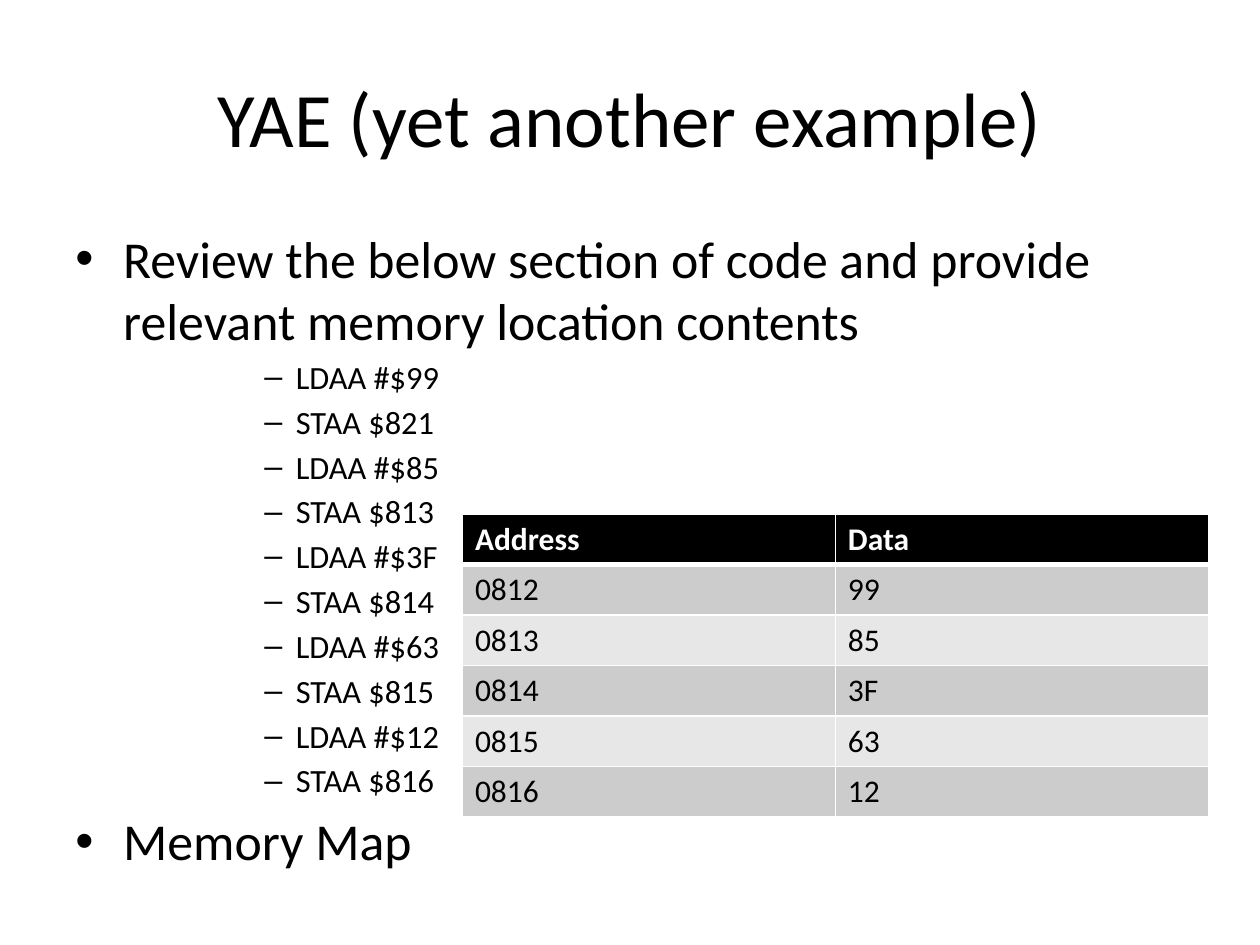
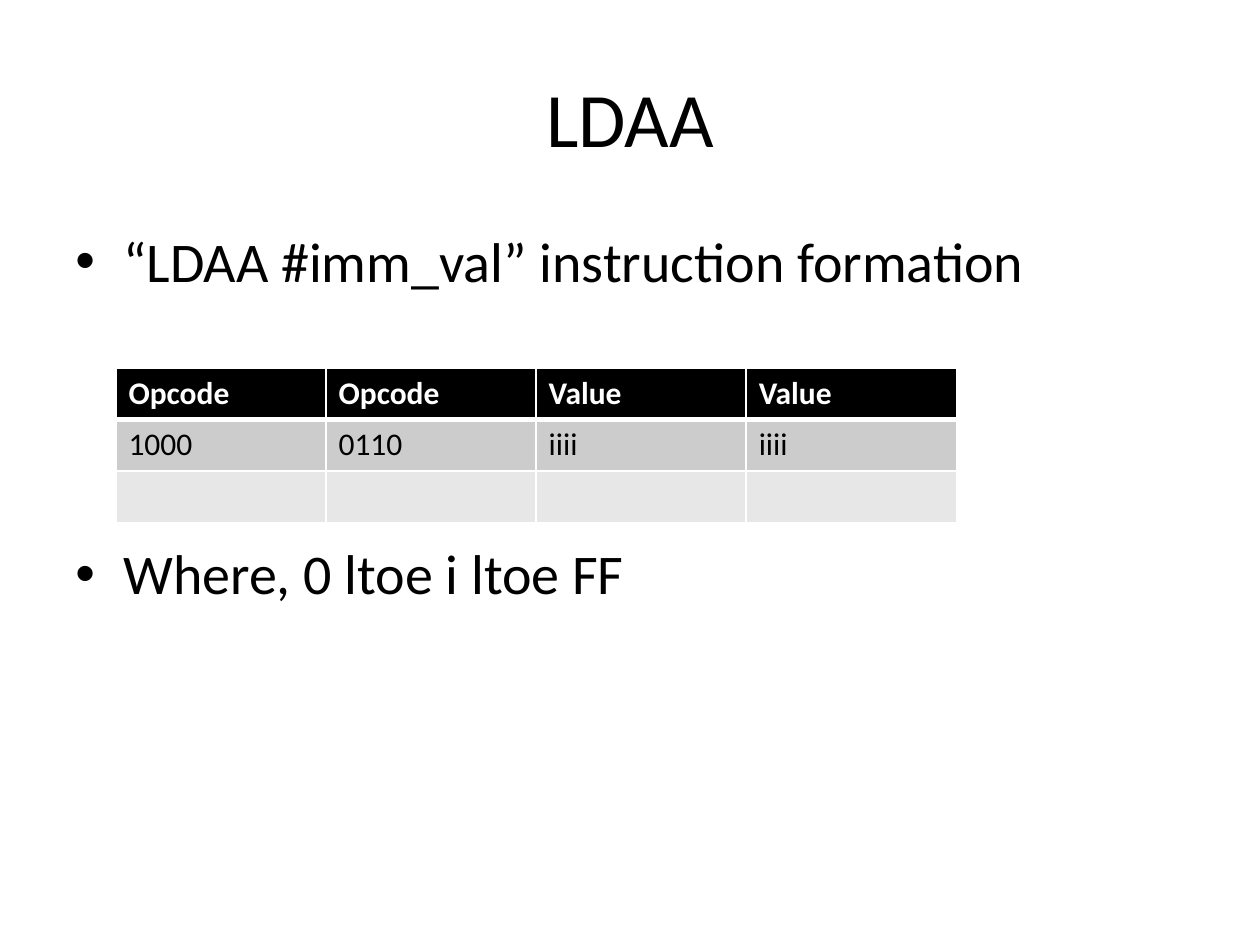
from lxml.etree import SubElement
from pptx import Presentation
from pptx.dml.color import RGBColor
from pptx.enum.text import MSO_ANCHOR, PP_ALIGN
from pptx.oxml import parse_xml
from pptx.oxml.ns import nsdecls, qn
from pptx.util import Inches, Pt

FONT = "Calibri"
BLACK, WHITE = "000000", "FFFFFF"
BANDS = ("CCCCCC", "E7E7E7")


def rgb(value):
    """Turn a hex string into a colour."""
    return RGBColor.from_string(value)


class Deck:
    """Holds the presentation, its style and the current slide."""

    def __init__(self):
        """Start an empty 10 by 7.5 inch presentation."""
        self.presentation = Presentation()
        self.presentation.slide_width = Inches(10)
        self.presentation.slide_height = Inches(7.5)
        self.slide = None

    def run(self, paragraph, text, size, color=BLACK, bold=False):
        """Add one styled run to a paragraph."""
        run = paragraph.add_run()
        run.text = text
        run.font.name = FONT
        run.font.size = Pt(size)
        run.font.bold = bold
        run.font.color.rgb = rgb(color)

    def frame(self, top, height):
        """Add a wrapping text box as wide as the content area."""
        box = self.slide.shapes.add_textbox(Inches(0.5), Inches(top), Inches(9), Inches(height))
        box.text_frame.word_wrap = True
        return box.text_frame

    def new_slide(self, title):
        """Add a blank slide with its centred title."""
        self.slide = self.presentation.slides.add_slide(self.presentation.slide_layouts[6])
        background = self.slide.background.fill
        background.solid()
        background.fore_color.rgb = rgb(WHITE)
        frame = self.frame(0.3, 1.25)
        frame.vertical_anchor = MSO_ANCHOR.MIDDLE
        frame.paragraphs[0].alignment = PP_ALIGN.CENTER
        self.run(frame.paragraphs[0], title, 44)

    def bullet(self, paragraph, char, left, hang):
        """Give a paragraph a bullet with a hanging indent."""
        properties = paragraph._p.get_or_add_pPr()
        properties.set("marL", str(Inches(left)))
        properties.set("indent", str(-Inches(hang)))
        SubElement(properties, qn("a:buFont")).set("typeface", "Arial")
        SubElement(properties, qn("a:buChar")).set("char", char)

    def body(self, items):
        """Add the body from (text, level, size, space before) items."""
        levels = (("•", 0.38, 0.38), ("–", 1.75, 0.25))
        frame = self.frame(1.75, 4.95)
        for index, (text, level, size, space) in enumerate(items):
            paragraph = frame.add_paragraph() if index else frame.paragraphs[0]
            self.bullet(paragraph, *levels[level])
            paragraph.space_before = Pt(space)
            self.run(paragraph, text, size)

    def borders(self, cell, top, bottom):
        """Draw white borders, with the given top and bottom widths in points."""
        properties = cell._tc.get_or_add_tcPr()
        for index, (side, width) in enumerate(zip("LRTB", (1, 1, top, bottom))):
            line = parse_xml(
                f'<a:ln{side} {nsdecls("a")} w="{Pt(width)}"><a:solidFill>'
                f'<a:srgbClr val="{WHITE}"/></a:solidFill></a:ln{side}>')
            properties.insert(index, line)

    def table(self, left, top, width, row_height, rows):
        """Add a table with a black header and banded grey rows."""
        grid = self.slide.shapes.add_table(
            len(rows), len(rows[0]), Inches(left), Inches(top),
            Inches(width), Inches(row_height * len(rows))).table
        for row, values in enumerate(rows):
            header = row == 0
            for column, value in enumerate(values):
                cell = grid.cell(row, column)
                cell.fill.solid()
                cell.fill.fore_color.rgb = rgb(BLACK if header else BANDS[(row - 1) % 2])
                self.borders(cell, 3 if row == 1 else 1, 3 if header else 1)
                if value:
                    self.run(cell.text_frame.paragraphs[0], value, 18,
                             WHITE if header else BLACK, header)


def main():
    """Build and save both slides."""
    deck = Deck()

    deck.new_slide("YAE (yet another example)")
    stores = (("99", "821"), ("85", "813"), ("3F", "814"), ("63", "815"), ("12", "816"))
    code = [line for data, address in stores
            for line in (f"LDAA #${data}", f"STAA ${address}")]
    deck.body([
        ("Review the below section of code and provide relevant memory location contents",
         0, 29.6, 0),
        *((line, 1, 18.5, 3.4) for line in code),
        ("Memory Map", 0, 29.6, 5.5)])
    deck.table(3.67, 4.08, 5.92, 0.4, [
        ("Address", "Data"), ("0812", "99"), ("0813", "85"),
        ("0814", "3F"), ("0815", "63"), ("0816", "12")])

    deck.new_slide("LDAA")
    deck.body([
        ("“LDAA #imm_val” instruction formation", 0, 32, 0),
        ("Where, 0 ltoe i ltoe FF", 0, 32, 140)])
    deck.table(0.92, 2.92, 6.67, 0.41, [
        ("Opcode", "Opcode", "Value", "Value"),
        ("1000", "0110", "iiii", "iiii"),
        ("", "", "", "")])

    deck.presentation.save("out.pptx")


if __name__ == "__main__":
    main()
